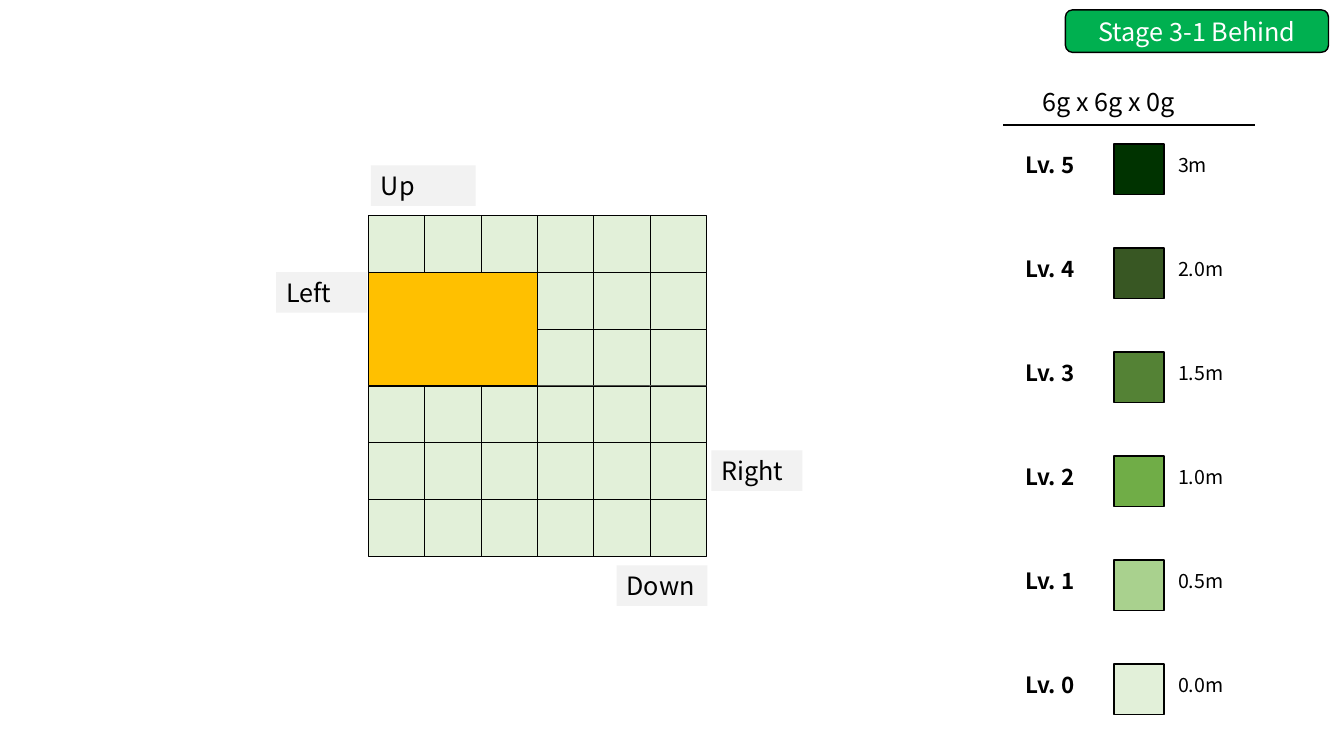
from lxml import etree
from pptx import Presentation
from pptx.dml.color import RGBColor
from pptx.enum.shapes import MSO_CONNECTOR, MSO_SHAPE
from pptx.enum.text import MSO_ANCHOR, MSO_AUTO_SIZE, PP_ALIGN
from pptx.oxml.ns import qn
from pptx.util import Cm, Pt

RECT, ROUND = MSO_SHAPE.RECTANGLE, MSO_SHAPE.ROUNDED_RECTANGLE
LINE = MSO_CONNECTOR.STRAIGHT
TOP, MIDDLE = MSO_ANCHOR.TOP, MSO_ANCHOR.MIDDLE
LEFT, CENTER = PP_ALIGN.LEFT, PP_ALIGN.CENTER
GROW = MSO_AUTO_SIZE.SHAPE_TO_FIT_TEXT
FONT = "Noto Sans CJK KR"
BLACK, WHITE, PALE, GREY = "000000", "FFFFFF", "E2F0D9", "F2F2F2"
rgb = RGBColor.from_string

deck = Presentation()
deck.slide_width, deck.slide_height = Cm(33.87), Cm(19.05)
slide = deck.slides.add_slide(deck.slide_layouts[6])
shapes = slide.shapes


def box(spot, fill, line=None, kind=RECT):
    shape = shapes.add_shape(kind, *map(Cm, spot))
    shape.shadow.inherit = False
    shape.fill.solid()
    shape.fill.fore_color.rgb = rgb(fill)
    if line:
        shape.line.color.rgb = rgb(BLACK)
        shape.line.width = Pt(line)
    else:
        shape.line.fill.background()
    return shape


def write(shape, text, size, color=BLACK, bold=False, align=LEFT, anchor=TOP):
    frame = shape.text_frame
    frame.word_wrap = True
    frame.vertical_anchor = anchor
    if anchor == TOP:
        frame.auto_size = GROW
    para = frame.paragraphs[0]
    para.alignment = align
    run = para.add_run()
    run.text = text
    look = {"name": FONT, "size": Pt(size), "bold": bold}
    for key, value in look.items():
        setattr(run.font, key, value)
    run.font.color.rgb = rgb(color)


# Stage title
title = box((26.85, 0.25, 6.63, 1.07), "00B050", 1, ROUND)
write(title, "Stage 3-1 Behind", 18, WHITE, align=CENTER, anchor=MIDDLE)

# Legend heading and rule
head = shapes.add_textbox(Cm(26.03), Cm(2.06), Cm(6.45), Cm(1.02))
write(head, "6g x 6g x 0g", 18)
rule = shapes.add_connector(LINE, Cm(25.28), Cm(3.15), Cm(31.63), Cm(3.15))
rule.line.color.rgb = rgb(BLACK)
rule.line.width = Pt(1)
etree.SubElement(rule._element.spPr, qn("a:effectLst"))

# Height levels, highest first
levels = [
    ("Lv. 5", "003300", "3m"),
    ("Lv. 4", "385723", "2.0m"),
    ("Lv. 3", "548235", "1.5m"),
    ("Lv. 2", "70AD47", "1.0m"),
    ("Lv. 1", "A9D18E", "0.5m"),
    ("Lv. 0", PALE, "0.0m"),
]
for i, (name, color, height) in enumerate(levels):
    drop = i * 2.62
    label = shapes.add_textbox(Cm(25.6), Cm(3.68 + drop), Cm(2.72), Cm(0.94))
    write(label, name, 16, bold=True)
    box((28.07, 3.63 + drop, 1.27, 1.27), color, 1)
    value = shapes.add_textbox(Cm(29.44), Cm(3.73 + drop), Cm(4.34), Cm(0.86))
    write(value, height, 14)

# Side labels
sides = [
    ("Up", 9.35, 4.17, 2.64),
    ("Left", 6.96, 6.86, 2.29),
    ("Down", 15.54, 14.25, 2.29),
    ("Right", 17.93, 11.35, 2.29),
]
for name, left, top, width in sides:
    write(box((left, top, width, 1.02), GREY), name, 18)

# Floor grid, leaving room for the block
x, y, step, side = 9.28, 5.43, 1.42, 6
rise = 1.43
for row in range(side):
    for col in range(side):
        if row in (1, 2) and col < 3:
            continue
        box((x + col * step, y + row * rise, step, rise), PALE, 0.25)

# Block of three by two cells
box((x, y + rise, 3 * step, 2 * rise), "FFC000", 0.25)

deck.save("out.pptx")
